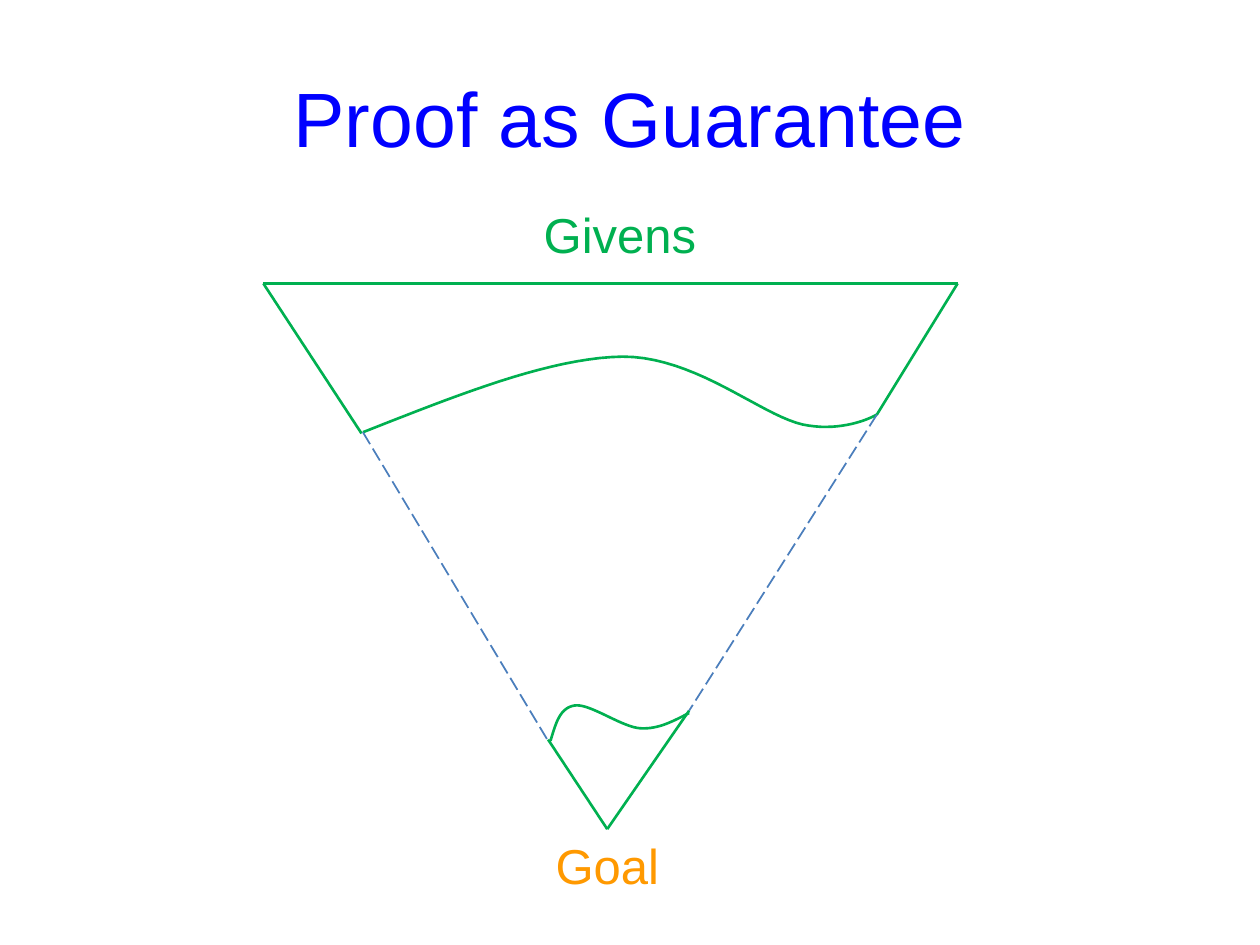
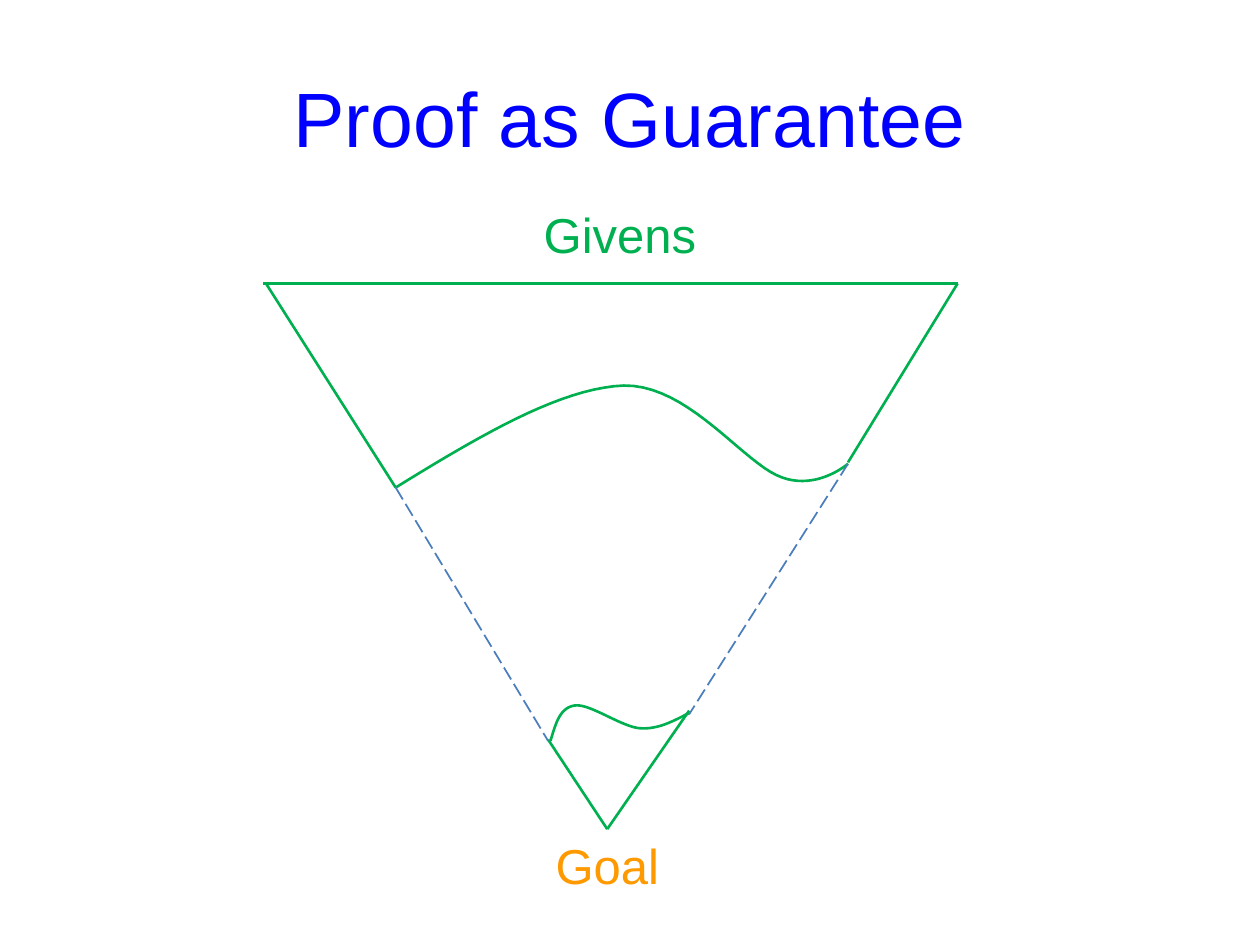
"""Build two slides that narrow the gap between the givens and the goal of a proof."""
from lxml import etree
from pptx import Presentation
from pptx import util as u
from pptx.dml.color import RGBColor
from pptx.enum import dml, text
from pptx.oxml.ns import qn

COLORS = {"title": "0000FF", "known": "00B050", "goal": "FF9900", "gap": "4B7EBC"}
FONT = "Arial"
STEPS = 20

LABELS = [
    ("Proof as Guarantee", 36, 21.6, 648, 90, 44, "title"),
    ("Givens", 287.3, 113, 133.9, 41, 28, "known"),
    ("Goal", 280.1, 473.8, 133.9, 41, 28, "goal"),
]
TOP_LEFT, TOP_RIGHT, TIP = (150.5, 162), (547.2, 162), (347, 473.8)
GOAL_LEFT, GOAL_RIGHT = (313.2, 422.6), (393.8, 406.1)
GOAL_CURVE = [
    (314.6, 423.4), (317.5, 414), (319.7, 404.6), (328.3, 403.2), (337, 401.8),
    (355, 415.4), (365.8, 416.2), (376.6, 416.9), (385.2, 411.8), (393.8, 407.5),
]
STAGES = [
    {
        "corner": TOP_LEFT,
        "left_end": (206.6, 247.7),
        "right_end": (501.1, 236.9),
        "gap_end": GOAL_RIGHT,
        "curve": [
            (207.4, 247), (260.6, 226.1), (313.9, 204.5), (355.7, 203.8), (397.4, 203.8),
            (434.2, 236.9), (458.6, 242.6), (483.1, 247.7), (501.1, 236.9), (501.1, 236.9),
        ],
    },
    {
        "corner": (152, 162),
        "left_end": (226.1, 278.6),
        "right_end": (484.6, 264.2),
        "gap_end": (393.8, 408.2),
        "curve": [
            (226.1, 278.6), (272.9, 249.8), (319.7, 221.8), (356.4, 220.3), (393.8, 219.6),
            (425.5, 265.7), (447.1, 272.9), (467.3, 280.1), (484.6, 265), (484.6, 265),
        ],
    },
]


def draw_line(page, start, end, color="known", width=1.5, dash=None):
    line = page.shapes.add_connector(1, *[u.Pt(value) for value in start + end])
    line.line.color.rgb = RGBColor.from_string(COLORS[color])
    line.line.width = u.Pt(width)
    if dash:
        line.line.dash_style = dash
    etree.SubElement(line._element.spPr, qn("a:effectLst"))


def draw_curve(page, controls):
    points = []
    for first in range(0, len(controls) - 1, 3):
        a, b, c, d = controls[first:first + 4]
        for step in range(1, STEPS + 1):
            t = step / STEPS
            weights = ((1 - t) ** 3, 3 * t * (1 - t) ** 2, 3 * t ** 2 * (1 - t), t ** 3)
            points.append(tuple(
                u.Pt(sum(w * value for w, value in zip(weights, axis)))
                for axis in zip(a, b, c, d)
            ))
    start_x, start_y = controls[0]
    builder = page.shapes.build_freeform(u.Pt(start_x), u.Pt(start_y))
    builder.add_line_segments(points, close=False)
    curve = builder.convert_to_shape()
    curve.shadow.inherit = False
    curve.fill.background()
    curve.line.color.rgb = RGBColor.from_string(COLORS["known"])
    curve.line.width = u.Pt(1.5)


deck = Presentation()
deck.slide_width, deck.slide_height = u.Pt(720), u.Pt(540)

for stage in STAGES:
    page = deck.slides.add_slide(deck.slide_layouts[6])

    for words, left, top, width, height, size, color in LABELS:
        box = page.shapes.add_textbox(u.Pt(left), u.Pt(top), u.Pt(width), u.Pt(height))
        box.text_frame.word_wrap = True
        box.text_frame.vertical_anchor = text.MSO_ANCHOR.MIDDLE
        para = box.text_frame.paragraphs[0]
        para.alignment = text.PP_ALIGN.CENTER
        span = para.add_run()
        span.text = words
        span.font.name = FONT
        span.font.size = u.Pt(size)
        span.font.color.rgb = RGBColor.from_string(COLORS[color])

    for start, end in [
        (TOP_LEFT, TOP_RIGHT),
        (stage["corner"], stage["left_end"]),
        (TOP_RIGHT, stage["right_end"]),
        (GOAL_LEFT, TIP),
        (TIP, GOAL_RIGHT),
    ]:
        draw_line(page, start, end)

    for controls in (stage["curve"], GOAL_CURVE):
        draw_curve(page, controls)

    for start, end in [
        (stage["curve"][0], (313.2, 423.4)),
        (stage["curve"][-1], stage["gap_end"]),
    ]:
        draw_line(page, start, end, "gap", 1, dml.MSO_LINE.LONG_DASH)

deck.save("out.pptx")
